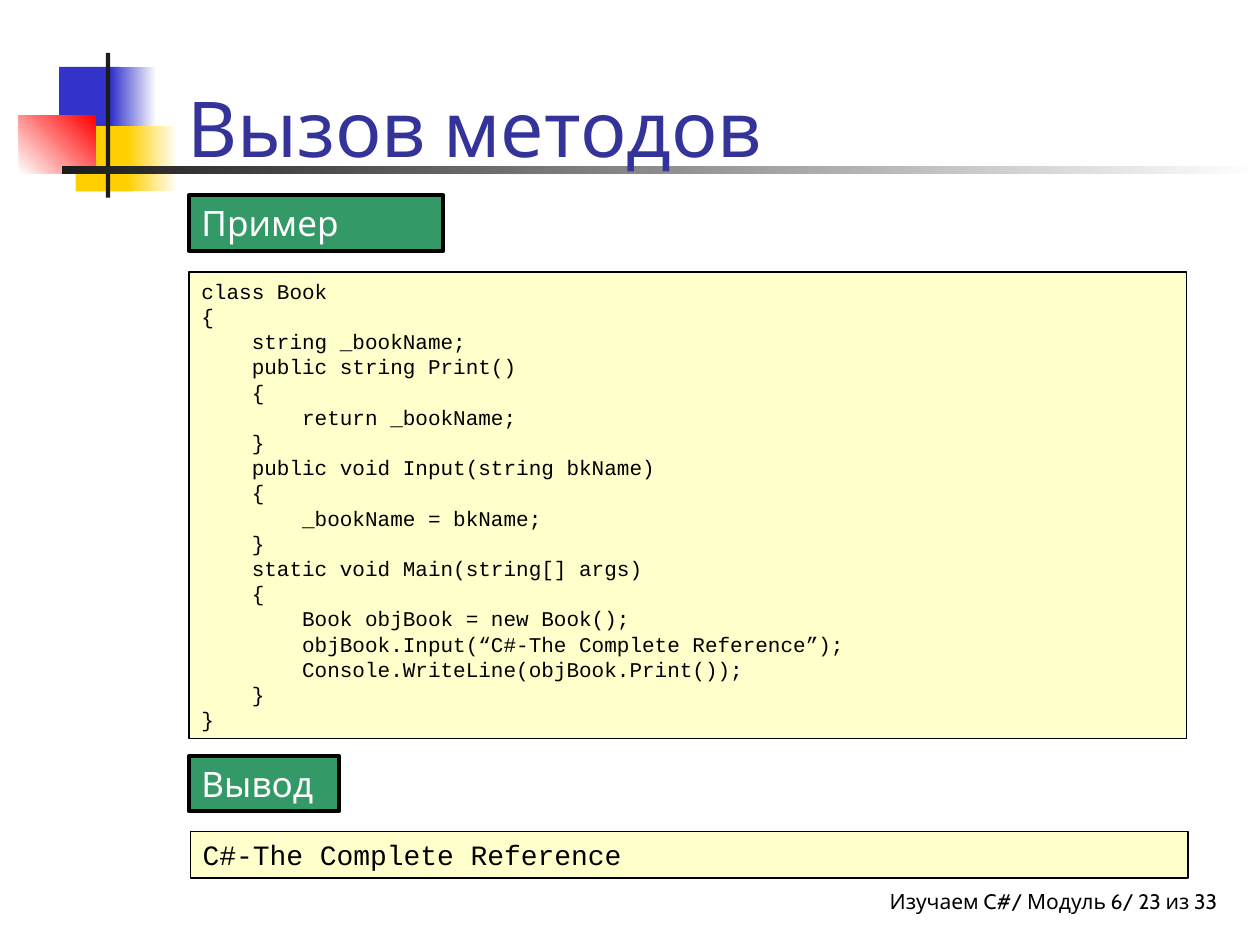
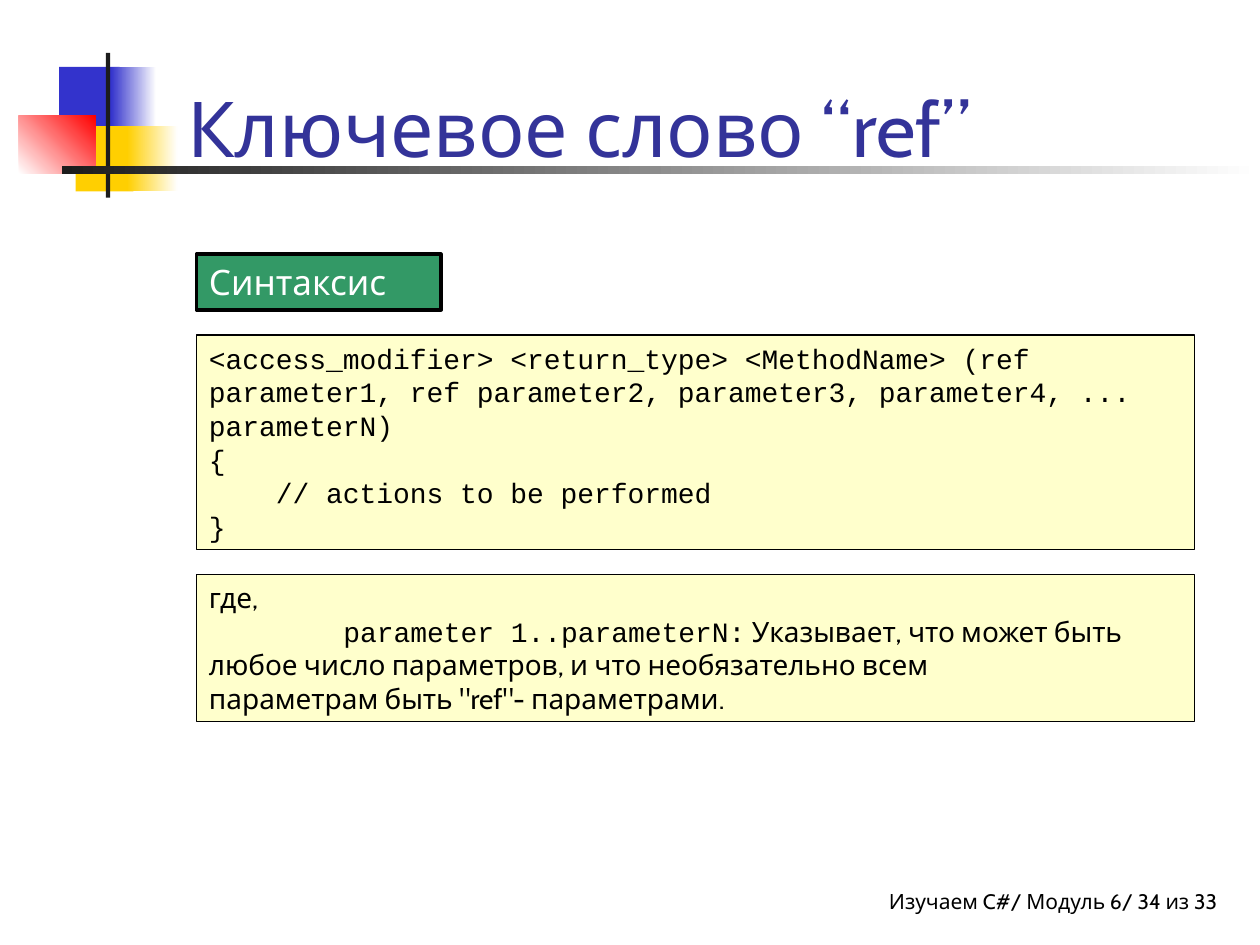
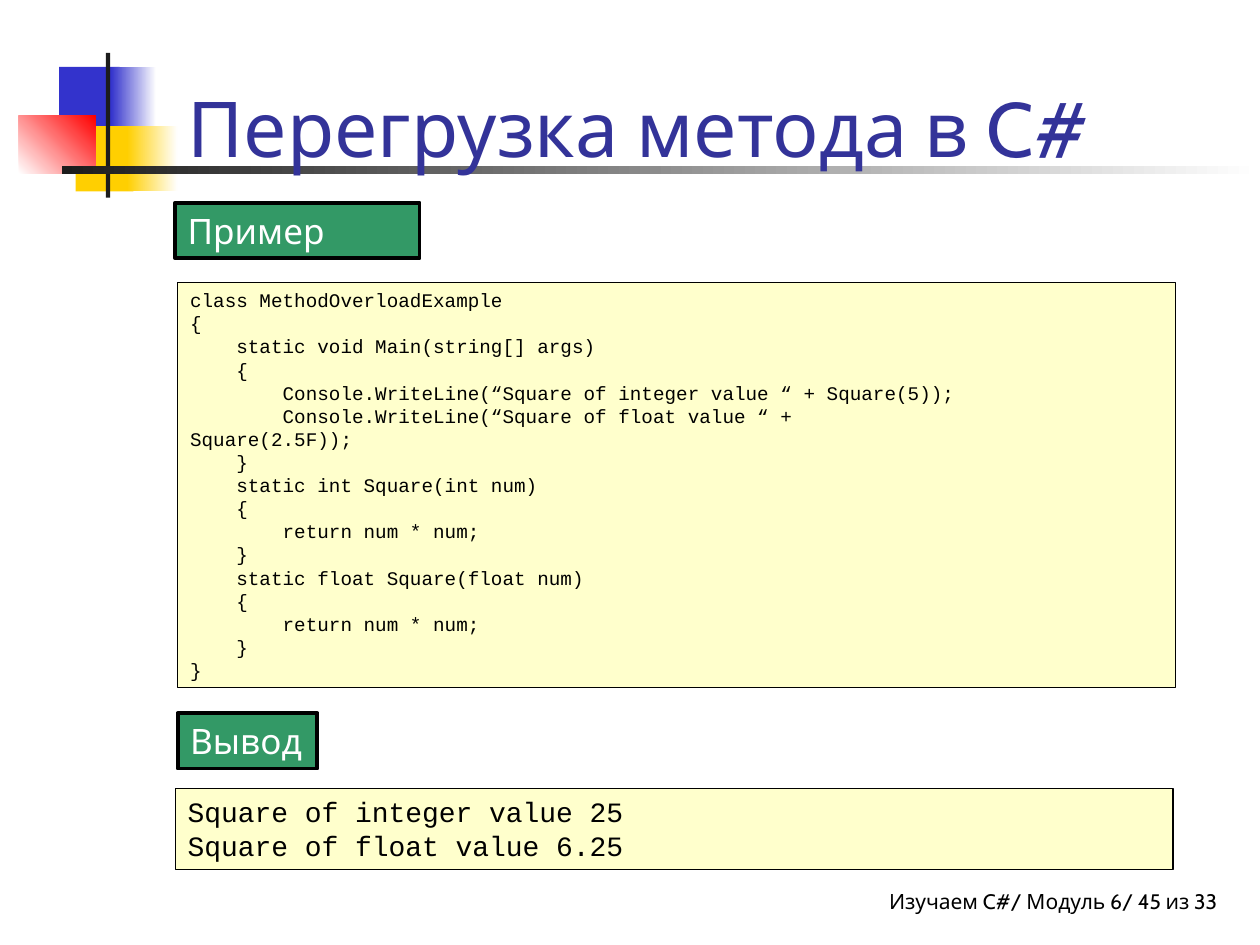
import pptx
import pptx.dml.color
import pptx.enum.shapes
import pptx.enum.text
import pptx.util

Pt = pptx.util.Pt
RECT = pptx.enum.shapes.MSO_SHAPE.RECTANGLE
ALIGN = pptx.enum.text.PP_ALIGN
ANCHOR = pptx.enum.text.MSO_ANCHOR
FIT = pptx.enum.text.MSO_AUTO_SIZE

COLORS = {
    "blue": "3333CC", "gold": "FFCF01", "red": "FF0000", "dark": "1C1C1C",
    "title": "333399", "green": "339966", "cream": "FFFFCC",
    "black": "000000", "white": "FFFFFF",
}
SANS, MONO = "Cabin", "Courier New"
FONTS = {
    "title": {"name": SANS, "size": Pt(44), "color": "title"},
    "foot": {"name": SANS, "size": Pt(12), "color": "black"},
    "tag": {"name": SANS, "size": Pt(20), "color": "white"},
    "note": {"name": SANS, "size": Pt(16), "color": "black"},
    "code": {"name": MONO, "size": Pt(16), "color": "black"},
}
# left, top, width, height, first colour, last colour, angle
BANDS = [
    (33.8, 38.2, 34.6, 37.4, "blue", None, 0),
    (63.4, 38.2, 25.9, 37.4, "blue", "white", 0),
    (43.2, 72, 33.1, 37.4, "gold", None, 0),
    (72.7, 72, 28.8, 37.4, "gold", "white", 0),
    (10.8, 66.2, 43.9, 33.1, "white", "red", 45),
    (60.5, 30.2, 2.4, 82.8, "dark", None, 0),
    (35.3, 95, 684.7, 4.3, "dark", "white", 0),
]
TAG_HIGH, BOX_WIDE = 31.7, 570.2

BOOK = """class Book
{
    string _bookName;
    public string Print()
    {
        return _bookName;
    }
    public void Input(string bkName)
    {
        _bookName = bkName;
    }
    static void Main(string[] args)
    {
        Book objBook = new Book();
        objBook.Input(“C#-The Complete Reference”);
        Console.WriteLine(objBook.Print());
    }
}"""
SYNTAX = """<access_modifier> <return_type> <MethodName> (ref parameter1, ref parameter2, parameter3, parameter4, ... parameterN)
{
    // actions to be performed
}"""
SQUARE = """class MethodOverloadExample
{
    static void Main(string[] args)
    {
        Console.WriteLine(“Square of integer value “ + Square(5));
        Console.WriteLine(“Square of float value “ +
Square(2.5F));
    }
    static int Square(int num)
    {
        return num * num;
    }
    static float Square(float num)
    {
        return num * num;
    }
}"""
RESULT = """Square of integer value 25
Square of float value 6.25"""


def rgb(key):
    return pptx.dml.color.RGBColor.from_string(COLORS[key])


def style(font, kind, **extra):
    for key, value in {**FONTS[kind], **extra}.items():
        if key == "color":
            font.color.rgb = rgb(value)
        else:
            setattr(font, key, value)


def write(frame, text, kind, align=ALIGN.LEFT, **extra):
    """Put each line of text in its own paragraph."""
    for num, line in enumerate(text.split("\n")):
        para = frame.add_paragraph() if num else frame.paragraphs[0]
        para.alignment = align
        run = para.add_run()
        run.text = line
        style(run.font, kind, **extra)


def add_rect(slide, left, top, width, height):
    rect = slide.shapes.add_shape(RECT, Pt(left), Pt(top), Pt(width), Pt(height))
    rect.shadow.inherit = False
    return rect


def add_band(slide, left, top, width, height, first, last, angle):
    band = add_rect(slide, left, top, width, height)
    band.line.fill.background()
    if last is None:
        band.fill.solid()
        band.fill.fore_color.rgb = rgb(first)
        return
    band.fill.gradient()
    band.fill.gradient_angle = angle
    for stop, key in zip(band.fill.gradient_stops, (first, last)):
        stop.color.rgb = rgb(key)


def add_label(slide, text, kind, left, top, width, height, align, **frame_set):
    """Add plain text with no fill, such as the title and the footer."""
    label = slide.shapes.add_textbox(Pt(left), Pt(top), Pt(width), Pt(height))
    for key, value in {"word_wrap": True, **frame_set}.items():
        setattr(label.text_frame, key, value)
    write(label.text_frame, text, kind, align)


def add_frame(slide, left, top, width, height, fill, line):
    """Add a filled, outlined box and return its empty text frame."""
    box = add_rect(slide, left, top, width, height)
    box.fill.solid()
    box.fill.fore_color.rgb = rgb(fill)
    box.line.color.rgb = rgb("black")
    box.line.width = Pt(line)
    frame = box.text_frame
    values = {"word_wrap": True, "vertical_anchor": ANCHOR.TOP,
              "auto_size": FIT.SHAPE_TO_FIT_TEXT}
    for key, value in values.items():
        setattr(frame, key, value)
    return frame


def add_tag(slide, text, left, top, width):
    frame = add_frame(slide, left, top, width, TAG_HIGH, "green", 2.25)
    write(frame, text, "tag")


def add_code(slide, text, left, top, height, size=16):
    frame = add_frame(slide, left, top, BOX_WIDE, height, "cream", 0.75)
    write(frame, text, "code", size=Pt(size))


def add_note(slide, left, top, height):
    """Explain the parameters, with their name set as code."""
    frame = add_frame(slide, left, top, BOX_WIDE, height, "cream", 0.75)
    write(frame, "где,", "note")
    para = frame.add_paragraph()
    para.alignment = ALIGN.LEFT
    para._p.get_or_add_pPr().set("indent", str(Pt(76.8)))
    parts = [
        ("parameter 1..parameterN:", "code"),
        (" Указывает, что может быть любое число параметров, "
         "и что необязательно всем", "note"),
        ("параметрам быть \"ref\"- параметрами.", "note"),
    ]
    for num, (text, kind) in enumerate(parts):
        if num == 2:
            para.add_line_break()
        run = para.add_run()
        run.text = text
        style(run.font, kind)


def add_page(deck, title, number):
    slide = deck.slides.add_slide(deck.slide_layouts[6])
    add_label(slide, f"Изучаем C#/ Модуль 6/ {number} из 33", "foot",
              329.8, 504, 365.8, 23.8, ALIGN.RIGHT, margin_right=0)
    for band in BANDS:
        add_band(slide, *band)
    add_label(slide, title, "title", 100, 12.2, 613.4, 90, ALIGN.LEFT,
              vertical_anchor=ANCHOR.BOTTOM)
    return slide


def main():
    deck = pptx.Presentation()
    deck.slide_width, deck.slide_height = Pt(720), Pt(540)

    calls = add_page(deck, "Вызов методов", 23)
    add_tag(calls, "Пример", 108, 111.6, 145.4)
    add_code(calls, BOOK, 108, 155.5, 266.4, 12)
    add_tag(calls, "Вывод", 108, 432, 85.7)
    add_code(calls, "C#-The Complete Reference", 108.7, 475.2, 26.6)

    refs = add_page(deck, "Ключевое слово “ref”", 34)
    add_tag(refs, "Синтаксис", 112.3, 145.4, 139.7)
    add_code(refs, SYNTAX, 112.3, 191.5, 122.4)
    add_note(refs, 112.3, 328.3, 84.2)

    loads = add_page(deck, "Перегрузка метода в C#", 45)
    add_tag(loads, "Пример", 100.1, 115.9, 139.7)
    add_code(loads, SQUARE, 101.5, 161.3, 231.8, 11)
    add_tag(loads, "Вывод", 101.5, 407.5, 79.9)
    add_code(loads, RESULT, 100.1, 450.7, 46.1)

    deck.save("out.pptx")


if __name__ == "__main__":
    main()
